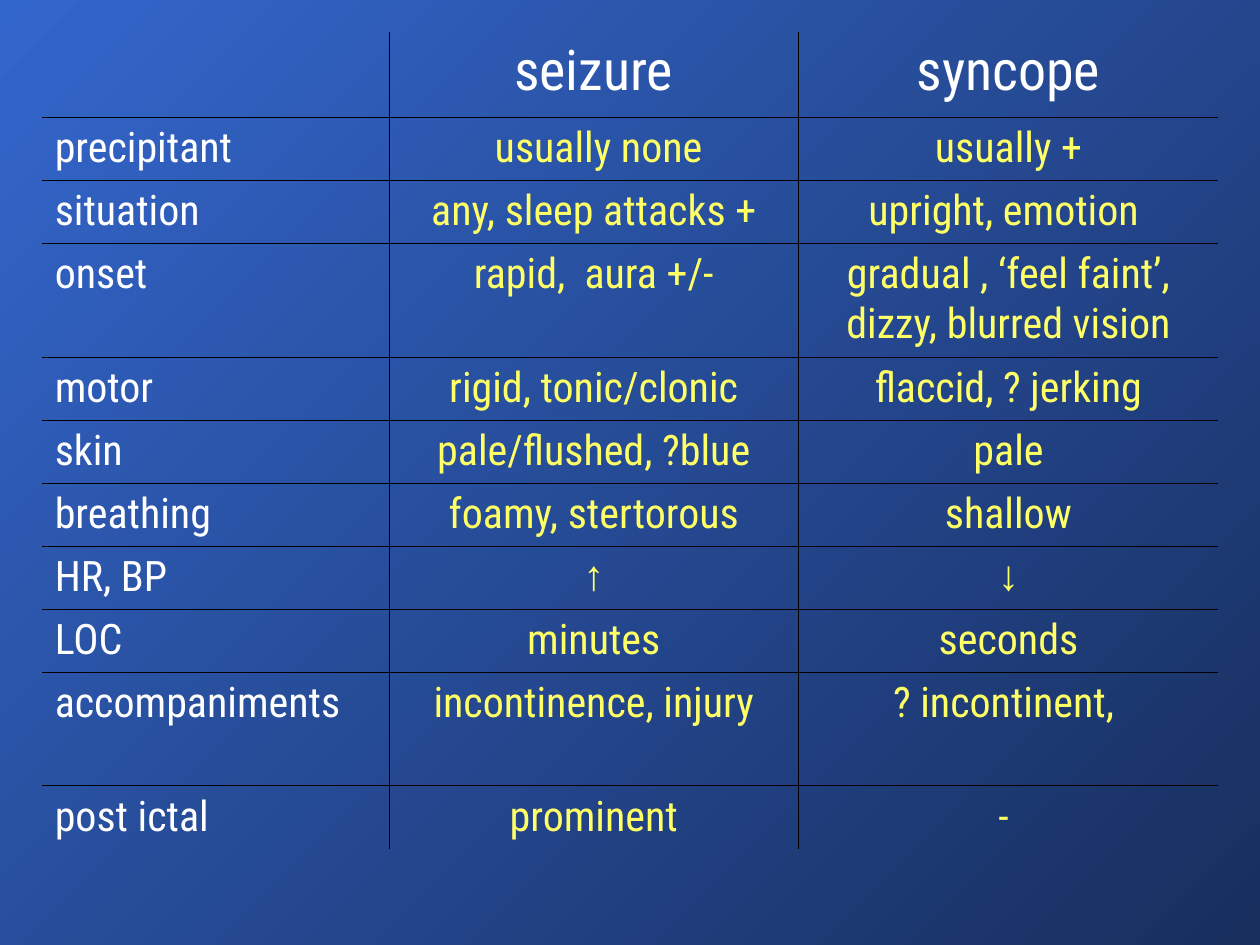
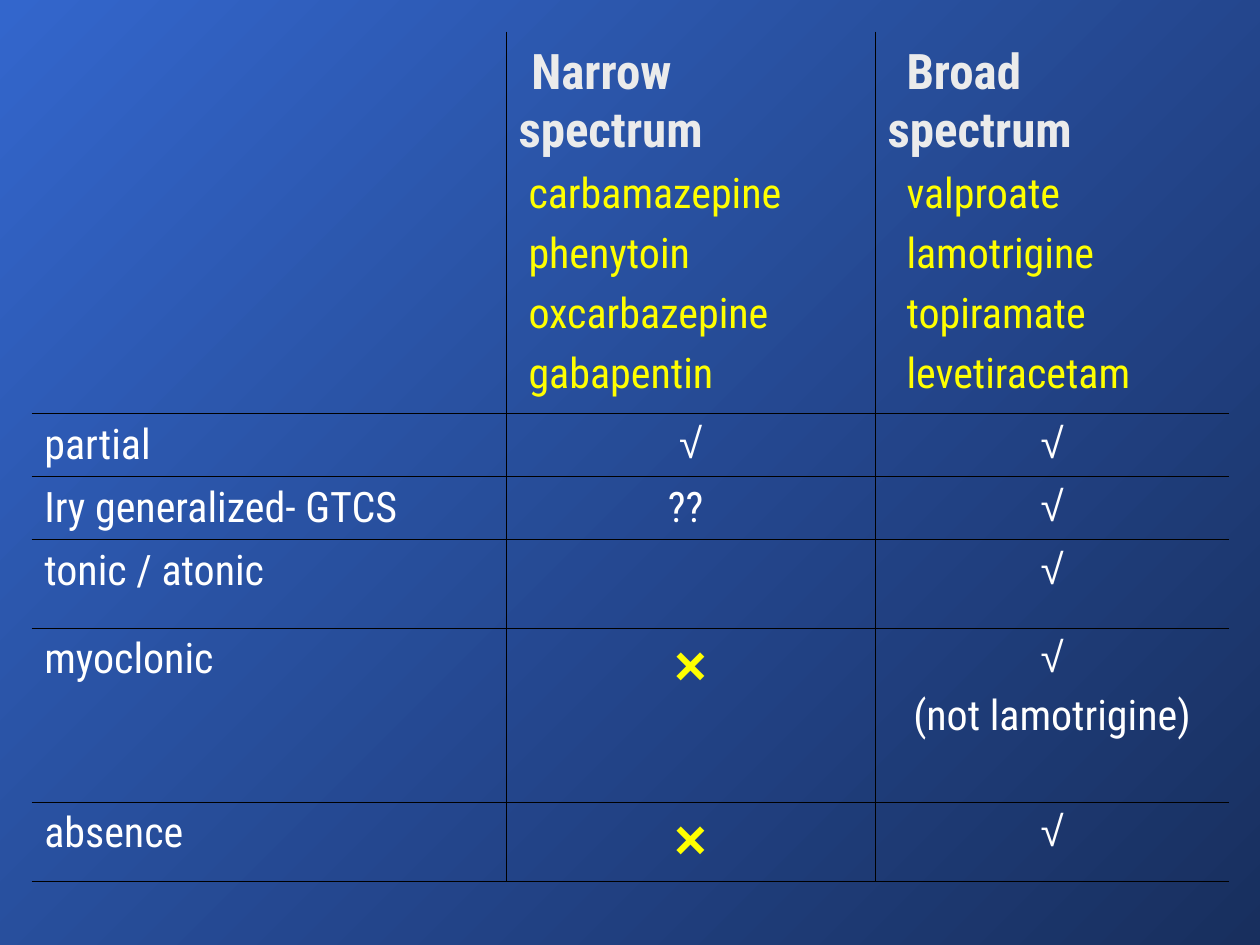
from lxml.etree import SubElement
from pptx import Presentation
from pptx.dml.color import RGBColor as Rgb
from pptx.enum.text import PP_ALIGN as Align
from pptx.oxml import parse_xml
from pptx.oxml.ns import nsdecls, qn
from pptx.util import Cm, Pt

INK = {
    "sky": "3366CC",
    "night": "182F5E",
    "rule": "000000",
    "white": "FFFFFF",
    "pale": "EBEBEB",
    "lemon": "FFFF66",
    "yellow": "FFFF00",
}
THIN, THICK = 0.45, 1.08

SIGNS = [
    ["", "seizure", "syncope"],
    ["precipitant", " usually none", "usually +"],
    ["situation", "any, sleep attacks +", "upright, emotion "],
    ["onset", "rapid,  aura +/-", "gradual , ‘feel faint’, dizzy, blurred vision"],
    ["motor", "rigid, tonic/clonic", "flaccid, ? jerking"],
    ["skin", "pale/flushed, ?blue", "pale"],
    ["breathing", "foamy, stertorous", "shallow"],
    ["HR, BP", "↑", "↓"],
    ["LOC", "minutes", "seconds"],
    ["accompaniments", "incontinence, injury", "? incontinent, "],
    ["post ictal", "prominent", "- "],
]
DRUGS = [
    ["",
     "Narrow spectrum\ncarbamazepine\nphenytoin\noxcarbazepine\ngabapentin",
     "Broad spectrum\nvalproate\nlamotrigine\ntopiramate\nlevetiracetam"],
    ["partial", "√", "√"],
    ["Iry generalized- GTCS", "?? ", "√"],
    ["tonic / atonic", "", "√"],
    ["myoclonic", "×", "√\n(not lamotrigine)"],
    ["absence", "×", "√"],
]


class Deck:
    font = "Roboto Condensed"
    sign = "Arial"

    def __init__(self):
        self.prs = Presentation()
        self.prs.slide_width, self.prs.slide_height = Cm(25.4), Cm(19.05)
        fill = self.prs.slide_master.background.fill
        fill.gradient()
        fill.gradient_angle = 315
        for stop, name in zip(fill.gradient_stops, ("sky", "night")):
            stop.color.rgb = Rgb.from_string(INK[name])
        self.slide = None

    def page(self):
        self.slide = self.prs.slides.add_slide(self.prs.slide_layouts[6])

    def grid(self, left, top, cols, rows, texts, base=0):
        frame = self.slide.shapes.add_table(
            len(rows), len(cols), Cm(left), Cm(top), Cm(sum(cols)), Cm(sum(rows)))
        table = frame.table
        table.first_row = table.horz_banding = False
        for col, width in zip(table.columns, cols):
            col.width = Cm(width)
        for row, height in zip(table.rows, rows):
            row.height = Cm(height)
        for y, line in enumerate(texts):
            for x, text in enumerate(line):
                cell = table.cell(y, x)
                cell.text_frame.text = text
                cell.fill.background()
                self.edge(cell, (
                    THIN if x else 0,
                    THIN if x < len(cols) - 1 else 0,
                    THIN if y else 0,
                    THIN if y < len(rows) - 1 else base))
        return table

    def edge(self, cell, widths):
        props = cell._tc.get_or_add_tcPr()
        for spot, (side, width) in enumerate(zip("LRTB", widths)):
            line = parse_xml(f'<a:ln{side} {nsdecls("a")} w="{int(Pt(width))}"/>')
            if width:
                fill = SubElement(line, qn("a:solidFill"))
                SubElement(fill, qn("a:srgbClr"), val=INK["rule"])
            else:
                SubElement(line, qn("a:noFill"))
            props.insert(spot, line)

    def ink(self, para, color, size=24, bold=False, align=Align.CENTER):
        para.alignment = align
        for run in para.runs:
            font = run.font
            font.name = self.sign if run.text in "↑↓√×" else self.font
            font.size, font.bold = Pt(size), bold
            font.color.rgb = Rgb.from_string(INK[color])

    def cell(self, cell, color, **style):
        for spot, para in enumerate(cell.text_frame.paragraphs):
            self.ink(para, color, **style)
            if spot:
                para.space_before = Pt(6)

    def indent(self, para, width):
        props = para._p.get_or_add_pPr()
        props.set("marL", "0")
        props.set("indent", str(int(Cm(width))))

    def head(self, cell, first, rest):
        cell.margin_top, cell.margin_right = Cm(0.26), Cm(1)
        self.cell(cell, "yellow", align=Align.LEFT)
        title, *drugs = cell.text_frame.paragraphs
        self.ink(title, "pale", size=28, bold=True, align=Align.LEFT)
        self.indent(title, first)
        for drug in drugs:
            self.indent(drug, rest)


def signs(deck):
    deck.page()
    rows = [1.73] + [2.29 if line[0] in ("onset", "accompaniments") else 1.27
                     for line in SIGNS[1:]]
    table = deck.grid(0.85, 0.64, [6.99, 8.26, 8.46], rows, SIGNS)
    for y in range(len(rows)):
        deck.cell(table.cell(y, 0), "white", align=Align.LEFT)
        for x in (1, 2):
            if y:
                deck.cell(table.cell(y, x), "lemon")
            else:
                deck.cell(table.cell(y, x), "white", size=32)


def drugs(deck):
    deck.page()
    rows = [7.7, 1.27, 1.27, 1.78, 3.51, 1.6]
    table = deck.grid(0.64, 0.64, [9.56, 7.44, 7.14], rows, DRUGS, base=THICK)
    deck.head(table.cell(0, 1), 0.26, 0.2)
    deck.head(table.cell(0, 2), 0.38, 0.38)
    for y in range(1, len(rows)):
        deck.cell(table.cell(y, 0), "white", align=Align.LEFT)
        for x in (1, 2):
            if DRUGS[y][x] == "×":
                deck.cell(table.cell(y, x), "yellow", size=32, bold=True)
            else:
                deck.cell(table.cell(y, x), "white")


def main():
    deck = Deck()
    signs(deck)
    drugs(deck)
    deck.prs.save("out.pptx")


if __name__ == "__main__":
    main()
